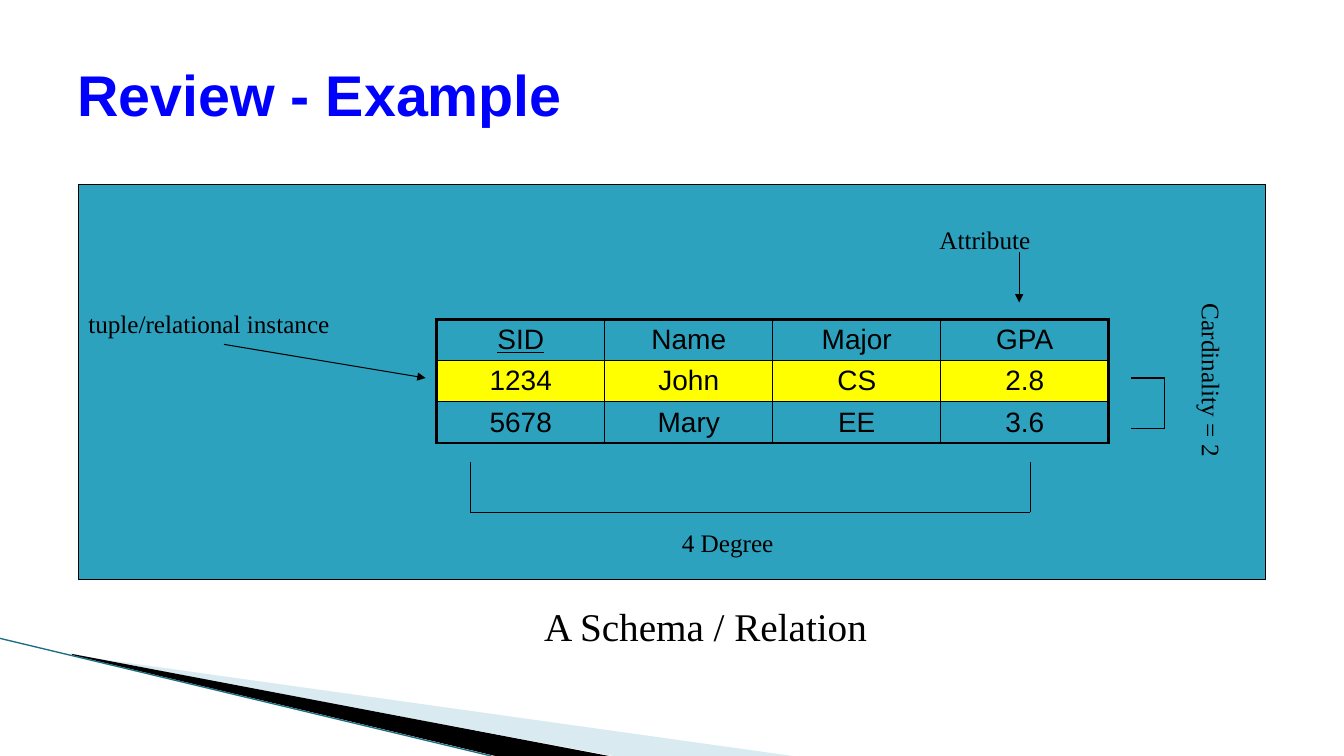
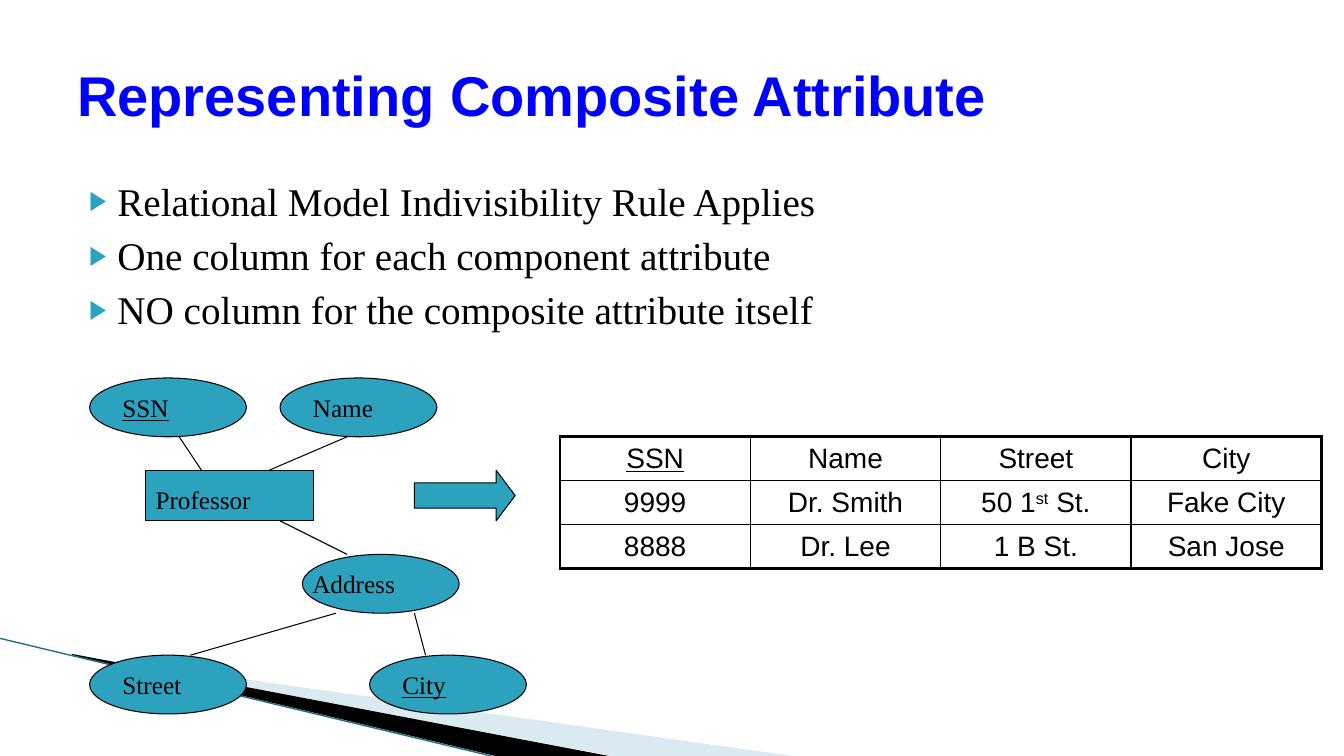
from itertools import pairwise
from lxml.etree import SubElement
from pptx import Presentation
from pptx.dml.color import RGBColor as Rgb
from pptx.enum.shapes import MSO_CONNECTOR as Con, MSO_SHAPE as Kind
from pptx.enum.text import MSO_ANCHOR as Anc, MSO_AUTO_SIZE as Fit, PP_ALIGN as Al
from pptx.oxml.ns import qn
from pptx.util import Pt

# Shared style
HUE = {"ink": "000000", "title": "0000FF", "teal": "2DA2BF", "mark": "FFFF00",
       "paper": "FFFFFF", "pale": "A0CBDC", "edge": "1C6F82"}
SANS, SERIF = "Arial", "Times New Roman"
LEAN = [  # corner band: points, colour, opacity in percent
    ([(52, 468), (566, 540), (438, 540)], "pale", 40),
    ([(51, 467), (435, 540), (354, 540), (52, 468)], "ink", 100),
]

# Slide 1: relation
REL = [("SID", "Name", "Major", "GPA"),
       ("1234", "John", "CS", "2.8"),
       ("5678", "Mary", "EE", "3.6")]
NOTES = [  # text, box, format
    ("tuple/relational instance", (56, 217, 200, 29), {}),
    ("Attribute", (664, 157, 152, 29), {}),
    ("4 Degree", (480, 373, 136, 29), {}),
    ("Cardinality = 2", (844, 210, 36, 186), {"vert": "eaVert"}),
    ("A Schema / Relation", (304, 427, 400, 41), {"size": 28, "align": Al.CENTER}),
]
ARROWS = [[(160, 246), (304, 270)], [(728, 180), (728, 216)]]
BRACES = [[(336, 330), (336, 366), (736, 366), (736, 330)],
          [(808, 270), (832, 270), (832, 306), (808, 306)]]

# Slide 2: composite attribute; a tuple in a cell alternates normal and raised text
RULES = ["Relational Model Indivisibility Rule Applies",
         "One column for each component attribute",
         "NO column for the composite attribute itself"]
PROF = [("SSN", "Name", "Street", "City"),
        ("9999", "Dr. Smith", ("50 1", "st", " St."), "Fake City"),
        ("8888", "Dr. Lee", "1 B St.", "San Jose")]
OVALS = [("SSN", 64, 270), ("Name", 200, 270), ("Street", 64, 468), ("City", 264, 468)]
OVAL = (112, 42)
KEYS = ("SSN", "City")
LINKS = [[(248, 396), (200, 372)], [(128, 312), (144, 336)], [(248, 312), (192, 336)],
         [(240, 438), (136, 468)], [(296, 438), (304, 468)]]


def tint(name):
    return Rgb.from_string(HUE[name])


def put(frame, lines, size=18, face=SERIF, hue="ink", bold=False, under=False,
        align=Al.LEFT, anchor=Anc.TOP, vert=None, gap=0, bullet=None):
    """Write one line or a list of lines into a text frame."""
    frame.word_wrap = True
    frame.vertical_anchor = anchor
    if vert:
        frame._txBody.bodyPr.set("vert", vert)
    for i, line in enumerate(lines if isinstance(lines, list) else [lines]):
        para = frame.add_paragraph() if i else frame.paragraphs[0]
        para.alignment = align
        if i:
            para.space_before = Pt(gap)
        if bullet:
            mark(para, bullet)
        for n, part in enumerate(line if isinstance(line, tuple) else (line,)):
            run = para.add_run()
            run.text = part
            font = run.font
            font.size, font.name = Pt(size), face
            font.bold, font.underline = bold, under
            font.color.rgb = tint(hue)
            if n % 2:
                run._r.get_or_add_rPr().set("baseline", "30000")


def mark(para, char):
    ppr = para._p.get_or_add_pPr()
    ppr.set("marL", str(Pt(28.8)))
    ppr.set("indent", str(Pt(-20.2)))
    SubElement(SubElement(ppr, qn("a:buClr")), qn("a:srgbClr"), val=HUE["teal"])
    SubElement(ppr, qn("a:buSzPct"), val="68000")
    SubElement(ppr, qn("a:buFont"), typeface=SANS)
    SubElement(ppr, qn("a:buChar"), char=char)


def label(slide, text, box, **fmt):
    put(slide.shapes.add_textbox(*map(Pt, box)).text_frame, text, **fmt)


def shape(slide, kind, box):
    item = slide.shapes.add_shape(kind, *map(Pt, box))
    item.shadow.inherit = False
    item.fill.solid()
    item.fill.fore_color.rgb = tint("teal")
    item.line.color.rgb = tint("ink")
    item.line.width = Pt(0.75)
    return item


def line(slide, start, end, hue="ink", width=0.75, head=False):
    item = slide.shapes.add_connector(Con.STRAIGHT, *map(Pt, start + end))
    item.line.color.rgb = tint(hue)
    item.line.width = Pt(width)
    if head:
        SubElement(item.line._get_or_add_ln(), qn("a:tailEnd"), type="triangle")
    SubElement(item._element.spPr, qn("a:effectLst"))


def band(slide):
    for pts, hue, alpha in LEAN:
        spots = [(Pt(x), Pt(y)) for x, y in pts]
        path = slide.shapes.build_freeform(*spots[0])
        path.add_line_segments(spots[1:], close=True)
        item = path.convert_to_shape()
        item.shadow.inherit = False
        item.fill.solid()
        item.fill.fore_color.rgb = tint(hue)
        item.line.fill.background()
        if alpha < 100:
            clr = item._element.spPr.find(".//" + qn("a:srgbClr"))
            SubElement(clr, qn("a:alpha"), val=str(alpha * 1000))
    line(slide, (0, 456), (351, 540), "edge", 0.95)


def page(deck, text, size):
    slide = deck.slides.add_slide(deck.slide_layouts[5])
    band(slide)
    title = slide.shapes.title
    title.left, title.top, title.width, title.height = map(Pt, (48, 22, 864, 90))
    title.text_frame.auto_size = Fit.NONE
    put(title.text_frame, text, size=size, face=SANS, hue="title", bold=True,
        anchor=Anc.MIDDLE)
    return slide


def grid(slide, rows, left, top, wide, high, fills):
    """Draw a table with a heavy frame and thin inner rules."""
    tall, across = len(rows), len(rows[0])
    table = slide.shapes.add_table(tall, across, Pt(left), Pt(top),
                                   Pt(wide * across), Pt(high * tall)).table
    table.first_row = table.horz_banding = False
    for col in table.columns:
        col.width = Pt(wide)
    for r, row in enumerate(rows):
        table.rows[r].height = Pt(high)
        for c, text in enumerate(row):
            cell = table.cell(r, c)
            cell.margin_left = cell.margin_right = Pt(9)
            cell.margin_top = cell.margin_bottom = Pt(3)
            put(cell.text_frame, text, size=20, face=SANS, align=Al.CENTER,
                under=(r, c) == (0, 0))
            cell.vertical_anchor = Anc.MIDDLE
            rim = {"L": c == 0, "R": c == across - 1, "T": r == 0, "B": r == tall - 1}
            for side, thick in rim.items():
                ln = SubElement(cell._tc.get_or_add_tcPr(), qn("a:ln" + side),
                                w=str(Pt(2.25 if thick else 1)))
                SubElement(SubElement(ln, qn("a:solidFill")), qn("a:srgbClr"),
                           val=HUE["ink"])
            if fills[r]:
                cell.fill.solid()
                cell.fill.fore_color.rgb = tint(fills[r])
            else:
                cell.fill.background()


def review(deck):
    slide = page(deck, "Review - Example", 41)
    shape(slide, Kind.RECTANGLE, (56, 132, 848, 282))
    grid(slide, REL, 312, 228, 120, 29.5, (None, "mark", None))
    for start, end in ARROWS:
        line(slide, start, end, head=True)
    for brace in BRACES:
        for start, end in pairwise(brace):
            line(slide, start, end)
    for text, box, fmt in NOTES:
        label(slide, text, box, **fmt)


def composite(deck):
    slide = page(deck, "Representing Composite Attribute", 40)
    label(slide, RULES, (48, 123, 864, 134), size=28, gap=5, bullet="▶")

    # Entity diagram
    prof = shape(slide, Kind.RECTANGLE, (104, 336, 120, 36))
    prof.text_frame.margin_top = Pt(9)
    put(prof.text_frame, "Professor", anchor=Anc.MIDDLE)
    for text, x, y in OVALS:
        oval = shape(slide, Kind.OVAL, (x, y) + OVAL)
        put(oval.text_frame, text, under=text in KEYS, anchor=Anc.MIDDLE)
    shape(slide, Kind.OVAL, (216, 396) + OVAL)
    label(slide, "Address", (216, 396) + OVAL, anchor=Anc.MIDDLE)
    for start, end in LINKS:
        line(slide, start, end)

    # Resulting table
    arrow = shape(slide, Kind.RIGHT_ARROW, (296, 336, 72, 36))
    arrow.adjustments[0], arrow.adjustments[1] = 0.5, 0.375
    grid(slide, PROF, 400, 312, 136, 31.4, (None, "paper", None))


def main():
    deck = Presentation()
    deck.slide_width, deck.slide_height = Pt(960), Pt(540)
    review(deck)
    composite(deck)
    deck.save("out.pptx")


if __name__ == "__main__":
    main()
